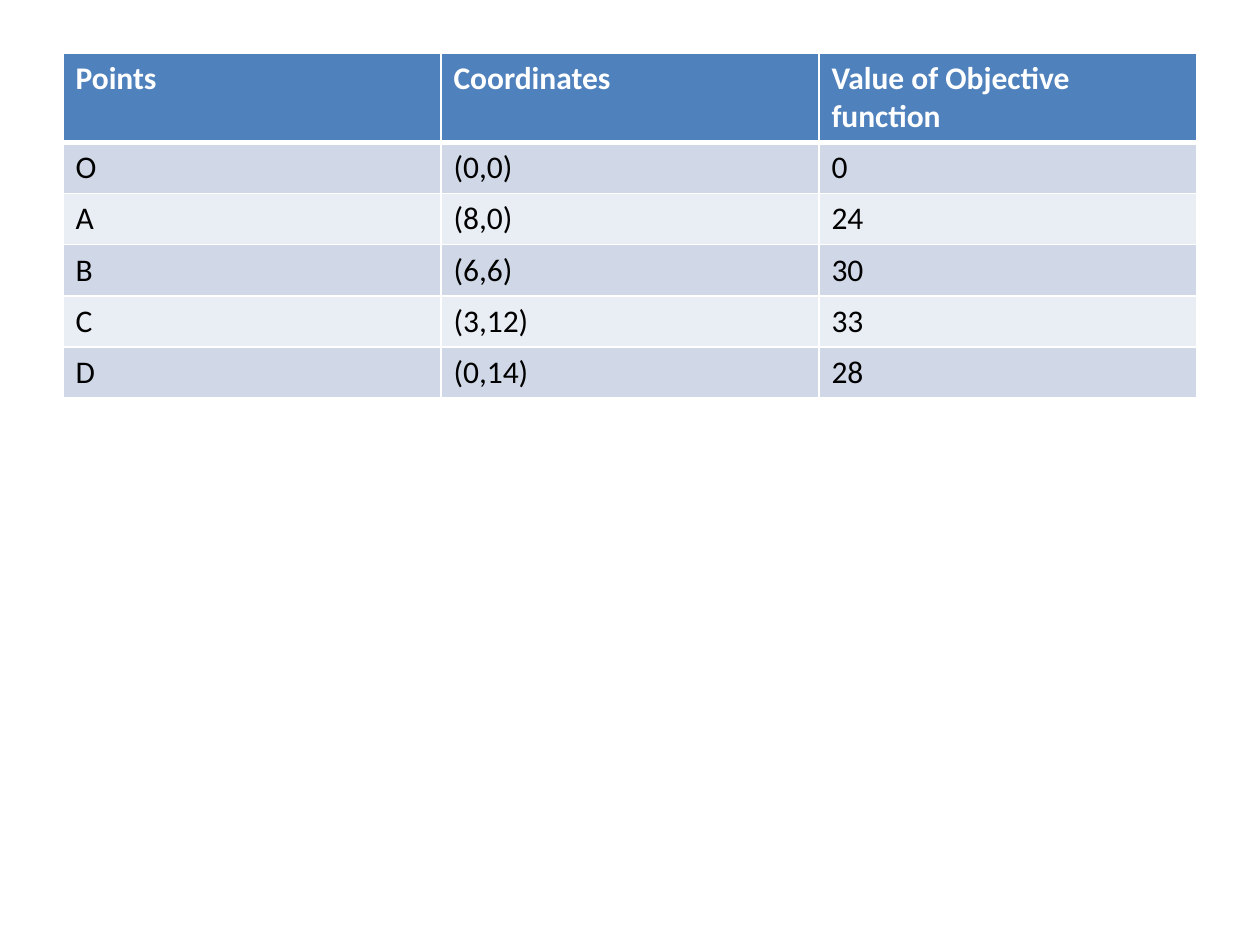
import pptx
import pptx.dml.color
import pptx.oxml
import pptx.oxml.ns
import pptx.util

EMU_PER_PX = 914400 // 126
WHITE = pptx.dml.color.RGBColor(0xFF, 0xFF, 0xFF)
BLACK = pptx.dml.color.RGBColor(0x00, 0x00, 0x00)
HEADER_BLUE = pptx.dml.color.RGBColor(0x4F, 0x81, 0xBD)
BAND_DARK = pptx.dml.color.RGBColor(0xD0, 0xD8, 0xE8)
BAND_LIGHT = pptx.dml.color.RGBColor(0xE9, 0xED, 0xF4)

OBJECTIVE_VALUES = [
    ("Points", "Coordinates", "Value of Objective function"),
    ("O", "(0,0)", "0"),
    ("A", "(8,0)", "24"),
    ("B", "(6,6)", "30"),
    ("C", "(3,12)", "33"),
    ("D", "(0,14)", "28"),
]


def px(length):
    return pptx.util.Emu(length * EMU_PER_PX)


def add_borders(cell, top, bottom):
    properties = cell._tc.get_or_add_tcPr()
    sides = [("L", 1), ("R", 1), ("T", top), ("B", bottom)]
    for index, (side, points) in enumerate(sides):
        border = pptx.oxml.parse_xml(
            f'<a:ln{side} {pptx.oxml.ns.nsdecls("a")} w="{pptx.util.Pt(points)}">'
            f'<a:solidFill><a:srgbClr val="{WHITE}"/></a:solidFill></a:ln{side}>'
        )
        properties.insert(index, border)


def fill_cell(cell, text, row):
    header = row == 0
    cell.fill.solid()
    band = BAND_DARK if row % 2 else BAND_LIGHT
    cell.fill.fore_color.rgb = HEADER_BLUE if header else band
    add_borders(cell, top=3 if row == 1 else 1, bottom=3 if header else 1)
    run = cell.text_frame.paragraphs[0].add_run()
    run.text = text
    run.font.name = "Calibri"
    run.font.size = pptx.util.Pt(18)
    run.font.bold = header
    run.font.color.rgb = WHITE if header else BLACK


def add_points_table(slide, rows, left, top, column_width, row_height):
    columns = len(rows[0])
    points = slide.shapes.add_table(
        len(rows), columns, px(left), px(top),
        px(column_width * columns), px(row_height * len(rows)),
    ).table
    for column in points.columns:
        column.width = px(column_width)
    for row, texts in enumerate(rows):
        points.rows[row].height = px(row_height)
        for column, text in enumerate(texts):
            fill_cell(points.cell(row, column), text, row)


def main():
    presentation = pptx.Presentation()
    presentation.slide_width = pptx.util.Inches(10)
    presentation.slide_height = pptx.util.Inches(7.5)
    slide = presentation.slides.add_slide(presentation.slide_layouts[6])
    add_points_table(slide, OBJECTIVE_VALUES, left=63, top=53, column_width=378, row_height=51)
    presentation.save("out.pptx")


if __name__ == "__main__":
    main()
